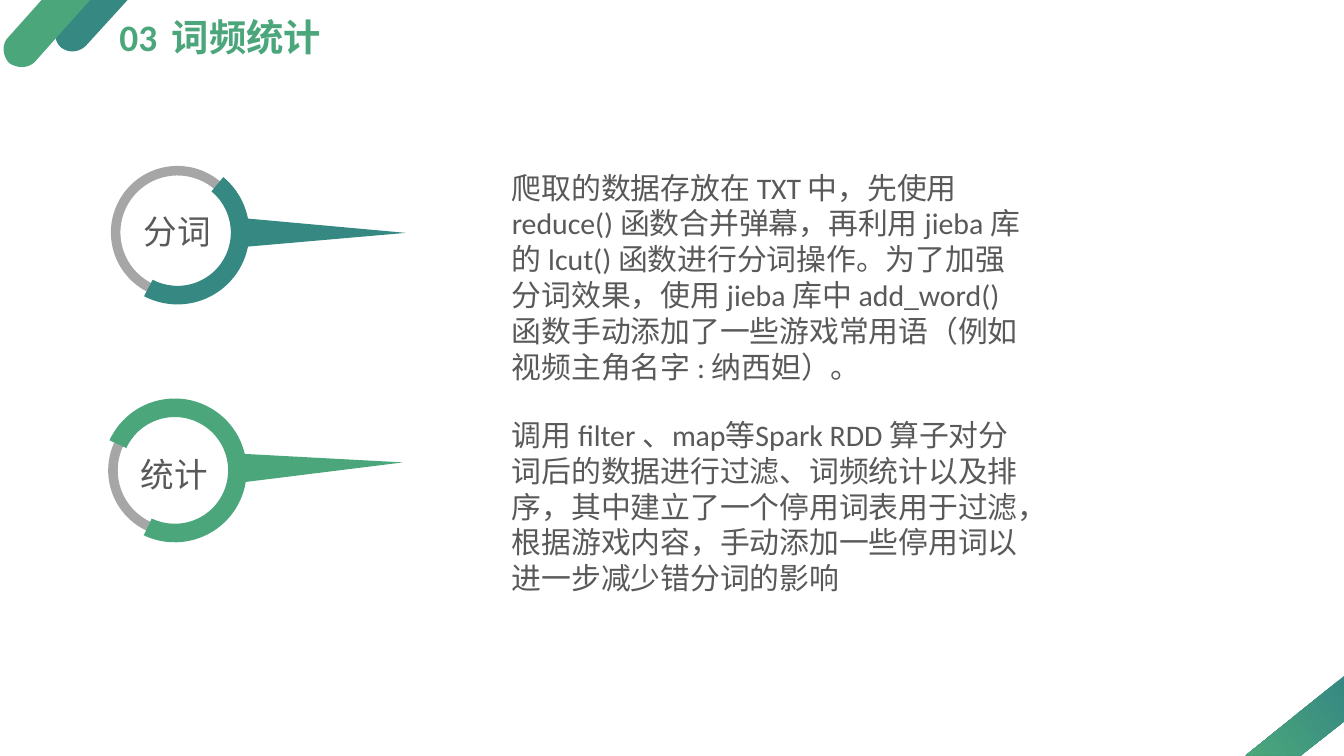
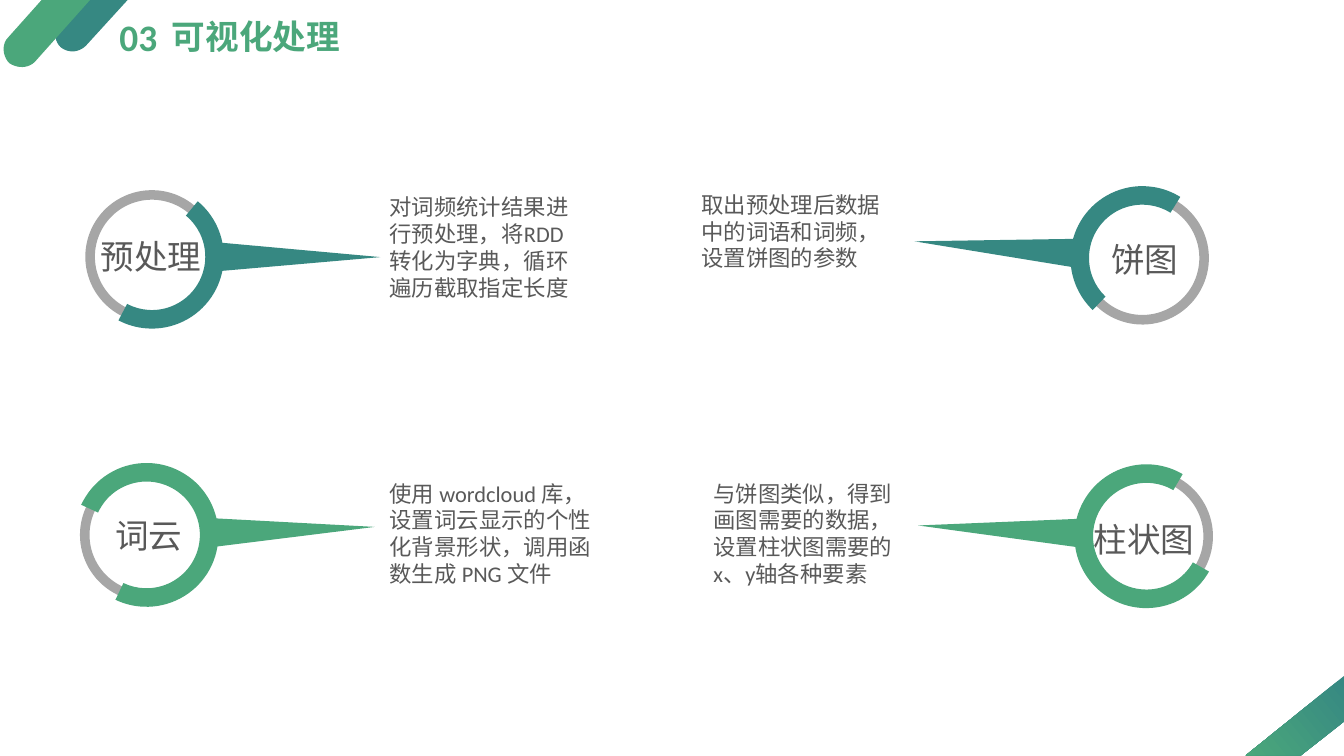
import math
from lxml import etree
from pptx import Presentation
from pptx import util as u
from pptx.dml import color
from pptx.enum import shapes, text
from pptx.oxml import ns

TEAL, GREEN, GREY, INK = "368882", "4BA77B", "A6A6A6", "595959"
LATIN, HAN = "Calibri", "Noto Sans CJK SC"
ARC_START = {TEAL: 93.3, GREEN: 31.64}
ARC_END = 194.16
RING, ARC, POINTER = (0.99, 0.99), (1.07, 1.07), (0.22, 1.24)
REACH = 1.08

BARS = [
    (TEAL, [(0.59, 0), (0.95, 0), (0.64, 0.34)],
     [[(0.59, 0.39), (0.51, 0.4), (0.45, 0.35)], [(0.4, 0.3), (0.4, 0.22), (0.44, 0.16)]]),
    (GREEN, [(0.31, 0), (0.67, 0), (0.26, 0.46)],
     [[(0.21, 0.51), (0.13, 0.51), (0.07, 0.47)], [(0.02, 0.42), (0.01, 0.33), (0.06, 0.28)]]),
]
CORNER = [(10, 5.03), (10, 5.37), (9.68, 5.62), (9.27, 5.62)]

SLIDES = [
    {
        "title": ("词频统计", (1.18, 0.06, 1.31, 0.44), 20, LATIN),
        "body_size": 16,
        "gauges": [
            (GREEN, (1.3, 3.5), 0, "统计", (0.95, 3.33)),
            (TEAL, (1.32, 1.73), 2.1, "分词", (0.97, 1.52)),
        ],
        "bodies": [
            ((3.71, 1.21, 4.03, 1.72),
             ["爬取的数据存放在 TXT 中，先使用 reduce() 函数合并弹幕，再利用 jieba 库的 lcut() "
              "函数进行分词操作。为了加强分词效果，使用 jieba 库中 add_word() "
              "函数手动添加了一些游戏常用语（例如视频主角名字 : 纳西妲）。"]),
            ((3.71, 3.05, 4.03, 1.45),
             ["调用 filter 、map等Spark RDD 算子对分词后的数据进行过滤、词频统计以及排序，"
              "其中建立了一个停用词表用于过滤，根据游戏内容，手动添加一些停用词以进一步减少错分词的影响"]),
        ],
    },
    {
        "title": ("可视化处理", (1.18, 0.07, 1.45, 0.47), 18, HAN),
        "body_size": 12,
        "gauges": [
            (GREEN, (1.09, 3.98), 0, "词云", (0.76, 3.78)),
            (TEAL, (1.13, 1.91), 2.1, "预处理", (0.65, 1.71)),
            (TEAL, (8.5, 1.92), 186.2, "饼图", (8.17, 1.73)),
            (GREEN, (8.53, 3.99), 184.7, "柱状图", (8.04, 3.81)),
        ],
        "bodies": [
            ((2.8, 1.39, 1.63, 0.91), ["对词频统计结果进行预处理，将RDD转化为字典，循环遍历截取指定长度"]),
            ((5.12, 1.37, 1.63, 0.71), ["取出预处理后数据中的词语和词频，设置饼图的参数"]),
            ((2.8, 3.52, 1.78, 0.91), ["使用 wordcloud 库，设置词云显示的个性化背景形状，调用函数生成 PNG 文件"]),
            ((5.21, 3.52, 1.67, 0.91), ["与饼图类似，得到画图需要的数据，设置柱状图需要的", "x、y轴各种要素"]),
        ],
    },
]


def rgb(value):
    return color.RGBColor.from_string(value)


def paint(shape, fill):
    shape.shadow.inherit = False
    shape.fill.solid()
    shape.fill.fore_color.rgb = rgb(fill)
    shape.line.fill.background()


def add_text(page, area, lines, size, ink=INK, font=LATIN, bold=False, wrap=True):
    box = page.shapes.add_textbox(*map(u.Inches, area))
    frame = box.text_frame
    frame.word_wrap = wrap
    frame.auto_size = text.MSO_AUTO_SIZE.SHAPE_TO_FIT_TEXT
    frame.text = "\n".join(lines)
    for para in frame.paragraphs:
        for span in para.runs:
            span.font.name = font
            span.font.size = u.Pt(size)
            span.font.bold = bold
            span.font.color.rgb = rgb(ink)
            etree.SubElement(span.font._element, ns.qn("a:ea"), typeface=HAN)


def curve(start, control_a, control_b, end, steps=10):
    for step in range(1, steps + 1):
        t = step / steps
        weights = ((1 - t) ** 3, 3 * t * (1 - t) ** 2, 3 * t * t * (1 - t), t ** 3)
        corners = (start, control_a, control_b, end)
        yield tuple(sum(w * point[axis] for w, point in zip(weights, corners)) for axis in (0, 1))


def add_outline(page, points, fill):
    start, *others = [(u.Inches(x), u.Inches(y)) for x, y in points]
    builder = page.shapes.build_freeform(*start)
    builder.add_line_segments(others, close=True)
    shape = builder.convert_to_shape()
    paint(shape, fill)
    return shape


def add_frame(page, title, area, size, font):
    for fill, edge, curves in BARS:
        points = list(edge)
        for bend in curves:
            points.extend(curve(points[-1], *bend))
        add_outline(page, points, fill)
    corner = add_outline(page, CORNER, TEAL)
    corner.fill.gradient()
    corner.fill.gradient_angle = 219
    for stop, shade, position in zip(corner.fill.gradient_stops, (TEAL, GREEN), (0, 1)):
        stop.color.rgb = rgb(shade)
        stop.position = position
    add_text(page, (0.79, 0.06, 0.49, 0.44), ["03"], 20, GREEN, bold=True, wrap=False)
    add_text(page, area, [title], size, GREEN, font, bold=True, wrap=False)


def add_part(page, kind, center, size, rotation, fill, adjustments=()):
    corner = [c - s / 2 for c, s in zip(center, size)]
    shape = page.shapes.add_shape(kind, *map(u.Inches, (*corner, *size)))
    shape.rotation = rotation
    for index, value in enumerate(adjustments):
        shape.adjustments[index] = value
    paint(shape, fill)


def add_gauge(page, fill, center, turn, caption, caption_at):
    kinds = shapes.MSO_SHAPE
    heading = math.radians(turn - 2)
    tip = (center[0] + REACH * math.cos(heading), center[1] + REACH * math.sin(heading))
    arc = (ARC_START[fill], ARC_END, 0.129)
    add_part(page, kinds.DONUT, center, RING, turn + 0.2, GREY, [0.072])
    add_part(page, kinds.BLOCK_ARC, center, ARC, turn + 152, fill, arc)
    add_part(page, kinds.ISOSCELES_TRIANGLE, tip, POINTER, turn + 88, fill)
    width = 0.21 + 0.25 * len(caption)
    add_text(page, (*caption_at, width, 0.4), [caption], 18, wrap=False)


def main():
    deck = Presentation()
    deck.slide_width = u.Inches(10)
    deck.slide_height = deck.slide_width * 9 // 16
    for content in SLIDES:
        page = deck.slides.add_slide(deck.slide_layouts[6])
        add_frame(page, *content["title"])
        for gauge in content["gauges"]:
            add_gauge(page, *gauge)
        for area, lines in content["bodies"]:
            add_text(page, area, lines, content["body_size"])
    deck.save("out.pptx")


if __name__ == "__main__":
    main()
